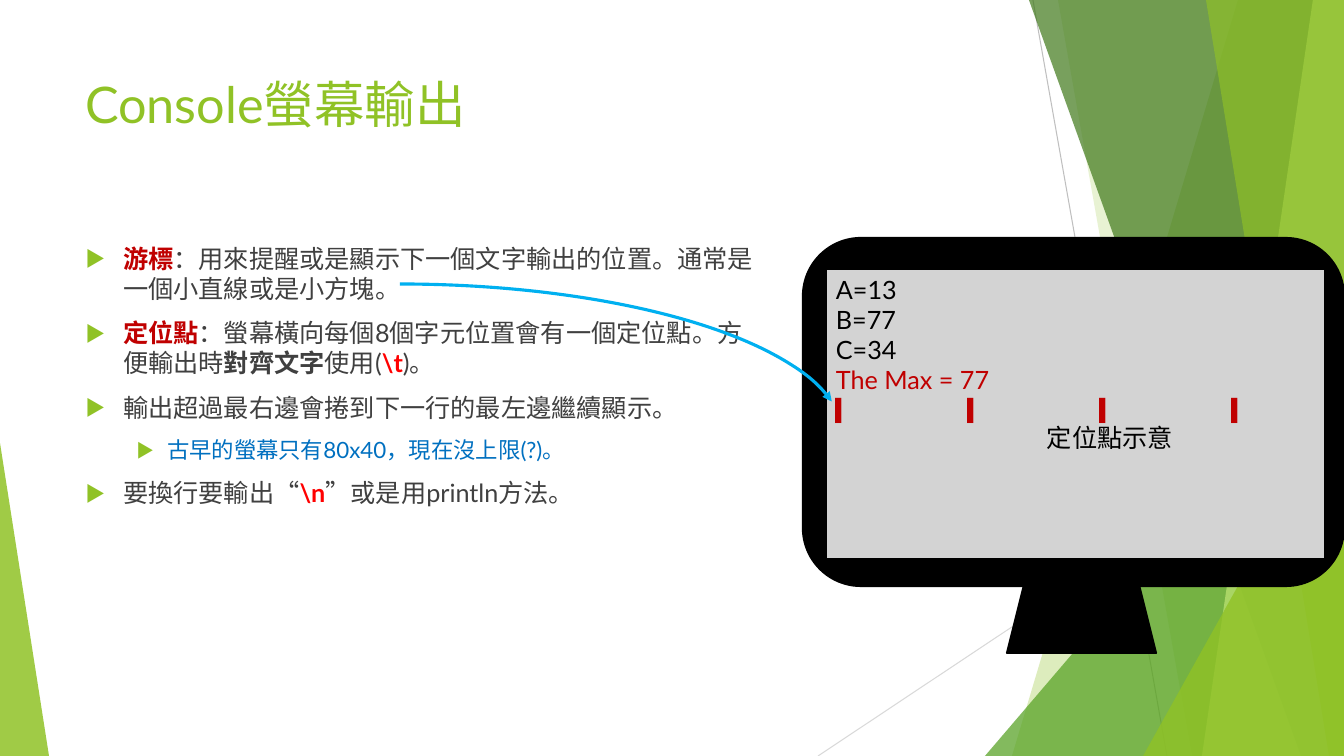
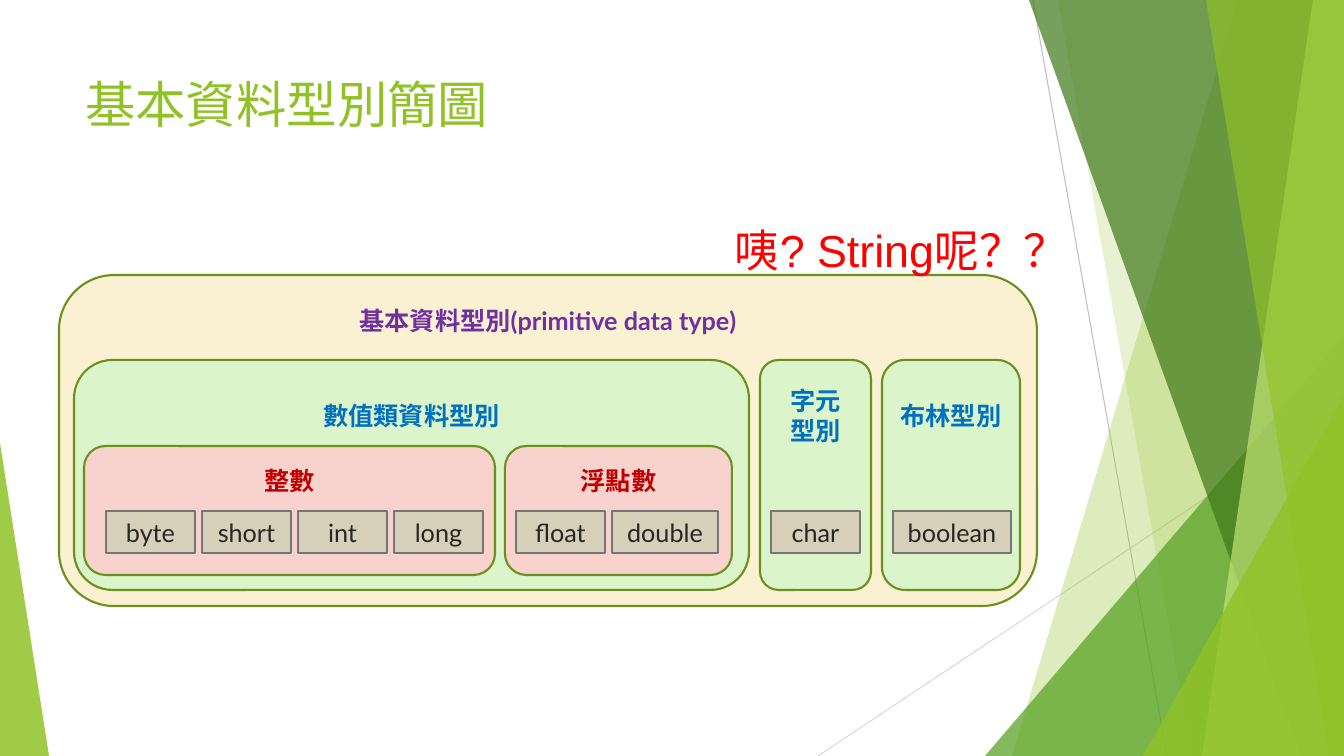
import lxml.etree
import pptx
import pptx.dml.color
import pptx.enum.shapes
import pptx.enum.text
import pptx.oxml.ns
import pptx.util

RGB = pptx.dml.color.RGBColor
SHAPE = pptx.enum.shapes.MSO_SHAPE
ALIGN = pptx.enum.text.PP_ALIGN
ANCHOR = pptx.enum.text.MSO_ANCHOR
qn = pptx.oxml.ns.qn

WIDTH, HEIGHT = 1344, 756
SCALE = 12192000 / WIDTH  # EMU per px
LATIN, CJK, SANS = "Lato", "Noto Sans CJK TC", "Arial"

GREEN = RGB(0x90, 0xC2, 0x26)
MID_GREEN = RGB(0x54, 0xA0, 0x21)
DARK_GREEN = RGB(0x3F, 0x78, 0x19)
LIME = RGB(0xC0, 0xE4, 0x74)
OLIVE = RGB(0x6B, 0x90, 0x1C)
CREAM = RGB(0xFA, 0xF1, 0xD2)
MINT = RGB(0xDB, 0xF4, 0xCA)
PINK = RGB(0xF8, 0xD2, 0xCC)
SAND = RGB(0xD6, 0xD0, 0xB8)
SCREEN = RGB(0xD3, 0xD3, 0xD3)
HAIRLINE = RGB(0xBF, 0xBF, 0xBF)
PALE_LINE = RGB(0xD9, 0xD9, 0xD9)
CHIP_LINE = RGB(0x76, 0x76, 0x76)
BLACK = RGB(0, 0, 0)
INK = RGB(0x26, 0x26, 0x26)
TEXT = RGB(0x40, 0x40, 0x40)
DARK_RED = RGB(0xC0, 0, 0)
RED = RGB(0xFF, 0, 0)
BLUE = RGB(0, 0x70, 0xC0)
SKY = RGB(0, 0xB0, 0xF0)
PURPLE = RGB(0x70, 0x30, 0xA0)


def px(n):
    return pptx.util.Emu(round(n * SCALE))


def box(*lengths):
    return [px(n) for n in lengths]


def sub(parent, tag, **attrs):
    return lxml.etree.SubElement(parent, qn(tag), attrs)


def style_run(r, color, size=18, bold=False, font=LATIN):
    r.font.name = font
    sub(r.font._element, "a:ea", typeface=CJK)
    r.font.size = pptx.util.Pt(size)
    r.font.bold = bold
    r.font.color.rgb = color


def style_frame(tf, color, align=ALIGN.LEFT, **font):
    for p in tf.paragraphs:
        p.alignment = align
        for r in p.runs:
            style_run(r, color, **font)


class Deck:
    """Holds the presentation, its style and the current slide."""

    def __init__(self):
        self.prs = pptx.Presentation()
        self.prs.slide_width, self.prs.slide_height = box(WIDTH, HEIGHT)
        self.s = None

    def slide(self, layout, title):
        layout = self.prs.slide_layouts.get_by_name(layout)
        self.s = self.prs.slides.add_slide(layout)
        tf = self.placeholder(self.s.shapes.title, 75, 68, 947, 145)
        tf.text = title
        style_frame(tf, GREEN, size=36)

    def placeholder(self, sp, *at):
        sp.left, sp.top, sp.width, sp.height = box(*at)
        tf = sp.text_frame
        tf.word_wrap = True
        tf.auto_size = pptx.enum.text.MSO_AUTO_SIZE.NONE
        tf.vertical_anchor = ANCHOR.TOP
        return tf

    def backdrop(self):
        """Draw the green bands and move them to the slide master."""
        group = self.s.shapes.add_group_shape()
        for color, ends in ((HAIRLINE, (1033, 0, 1167, HEIGHT)),
                            (PALE_LINE, (WIDTH, 406, 818, HEIGHT))):
            line = group.shapes.add_connector(
                pptx.enum.shapes.MSO_CONNECTOR.STRAIGHT, *box(*ends))
            line.line.color.rgb = color
            line.line.width = pptx.util.Pt(0.75)
            sub(line.element.spPr, "a:effectLst")
        self.band(group, 1238, 1012, GREEN, 30)
        self.band(group, 1058, 1192, GREEN, 20)
        self.wedge(group, (985, 336, 359, 420), 1, MID_GREEN, 72)
        self.band(group, 1029, 1301, DARK_GREEN, 70)
        self.band(group, 1313, 1202, LIME, 70)
        self.band(group, 1206, 1329, GREEN, 65)
        self.wedge(group, (1143, 396, 201, 360), 1, GREEN, 80)
        self.wedge(group, (0, 443, 49, 313), 0, GREEN, 85)
        # Keep shape ids unique on the master
        for i, props in enumerate(group.element.iter(qn("p:cNvPr")), 100):
            props.set("id", str(i))
        self.prs.slide_master.shapes.element.insert(2, group.element)

    def band(self, group, top_x, bottom_x, color, opacity):
        """A band from a slanted left edge to the right side of the slide."""
        builder = group.shapes.build_freeform(top_x, 0, scale=SCALE)
        builder.add_line_segments(
            [(WIDTH, 0), (WIDTH, HEIGHT), (bottom_x, HEIGHT)], close=True)
        self.tint(builder.convert_to_shape(), color, opacity)

    def wedge(self, group, at, apex, color, opacity):
        sp = group.shapes.add_shape(SHAPE.ISOSCELES_TRIANGLE, *box(*at))
        sp.adjustments[0] = apex
        self.tint(sp, color, opacity)

    def tint(self, sp, color, opacity):
        sp.shadow.inherit = False
        sp.line.fill.background()
        sp.fill.solid()
        sp.fill.fore_color.rgb = color
        clr = sp.element.spPr.find(".//" + qn("a:srgbClr"))
        sub(clr, "a:alpha", val=str(opacity * 1000))

    def bullets(self, items, *at):
        """Fill the body; items are (level, [(text, color, bold), ...])."""
        tf = self.placeholder(self.s.placeholders[1], *at)
        for i, (level, runs) in enumerate(items):
            p = tf.add_paragraph() if i else tf.paragraphs[0]
            p.level = level
            left, hang = ((38, 38), (82, 31))[level]
            pPr = p._p.get_or_add_pPr()
            pPr.set("marL", str(px(left)))
            pPr.set("indent", str(px(-hang)))
            sub(sub(pPr, "a:buClr"), "a:srgbClr", val=str(GREEN))
            sub(pPr, "a:buSzPct", val="80000")
            sub(pPr, "a:buFont", typeface=CJK)
            sub(pPr, "a:buChar", char="▶")
            p.space_before = pptx.util.Pt(10 if i else 0)
            for text, color, bold in runs:
                r = p.add_run()
                r.text = text
                style_run(r, color, size=(18, 16)[level], bold=bold)

    def shape(self, kind, at, fill, line, width=1.5):
        sp = self.s.shapes.add_shape(kind, *box(*at))
        sp.shadow.inherit = False
        if fill is None:
            sp.fill.background()
        else:
            sp.fill.solid()
            sp.fill.fore_color.rgb = fill
        sp.line.color.rgb = line
        sp.line.width = pptx.util.Pt(width)
        return sp

    def panel(self, at, fill, label, label_y, color):
        """A rounded panel whose bold label starts at label_y."""
        tf = self.shape(SHAPE.ROUNDED_RECTANGLE, at, fill, OLIVE).text_frame
        corner = 0.29 * min(at[2:]) / 6  # text inset of the round corner
        tf.vertical_anchor = ANCHOR.TOP
        tf.margin_top = px(label_y - at[1] - corner)
        tf.margin_left = tf.margin_right = px(3)
        tf.text = label
        style_frame(tf, color, ALIGN.CENTER, bold=True)

    def chips(self, x, *names):
        for name in names:
            width = {"double": 106, "boolean": 118}.get(name, 89)
            sp = self.shape(SHAPE.RECTANGLE, (x, 511, width, 42), SAND, CHIP_LINE)
            tf = sp.text_frame
            tf.vertical_anchor = ANCHOR.MIDDLE
            tf.margin_left = tf.margin_right = 0
            tf.text = name
            style_frame(tf, INK, ALIGN.CENTER)
            x += width + 7

    def console(self, at, text, tab):
        """A screen of text; the last line marks the tab stops."""
        tf = self.shape(SHAPE.RECTANGLE, at, SCREEN, BLACK).text_frame
        tf.vertical_anchor = ANCHOR.TOP
        tf.text = text
        *lines, result, ticks = tf.paragraphs
        tabs = sub(ticks._p.get_or_add_pPr(), "a:tabLst")
        for i in range(1, 4):
            sub(tabs, "a:tab", pos=str(px(i * tab)), algn="l")
        style_frame(tf, BLACK)
        for p in (result, ticks):
            p.runs[0].font.color.rgb = DARK_RED
        ticks.runs[0].font.name = CJK

    def arc_arrow(self, at, start, end, color):
        sp = self.shape(SHAPE.ARC, at, None, color, 2.25)
        sp.adjustments[0], sp.adjustments[1] = start, end
        sub(sp.element.spPr.find(qn("a:ln")), "a:tailEnd", type="triangle")

    def note(self, at, text, color, **font):
        tf = self.s.shapes.add_textbox(*box(*at)).text_frame
        tf.word_wrap = False
        tf.text = text
        style_frame(tf, color, **font)


def console_slide(deck):
    deck.slide("Title and Content", "Console螢幕輸出")
    deck.backdrop()
    deck.bullets([
        (0, [("游標", DARK_RED, True),
             ("：用來提醒或是顯示下一個文字輸出的位置。通常是一個小直線或是小方塊。", TEXT, False)]),
        (0, [("定位點", DARK_RED, True),
             ("：螢幕橫向每個8個字元位置會有一個定位點。方便輸出時", TEXT, False),
             ("對齊文字", TEXT, True), ("使用(", TEXT, False),
             ("\\t", RED, True), (")。", TEXT, False)]),
        (0, [("輸出超過最右邊會捲到下一行的最左邊繼續顯示。", TEXT, False)]),
        (1, [("古早的螢幕只有80x40，現在沒上限(?)。", BLUE, False)]),
        (0, [("要換行要輸出“", TEXT, False), ("\\n", RED, True),
             ("”或是用println方法。", TEXT, False)]),
    ], 75, 238, 689, 427)
    # Monitor
    deck.shape(SHAPE.ROUNDED_RECTANGLE, (803, 238, 541, 348), BLACK, BLACK)
    deck.console((826, 269, 499, 290),
                 "A=13\nB=77\nC=34\nThe Max = 77\n▎\t▎\t▎\t▎", 132)
    deck.shape(SHAPE.TRAPEZOID, (1007, 586, 149, 67), BLACK, BLACK)
    # Pointer to the cursor
    deck.arc_arrow((-44, 284, 888, 306), 162, 213.18, SKY)
    deck.note((1037, 417, 147, 40), "定位點示意", BLACK)


def types_slide(deck):
    deck.slide("Title Only", "基本資料型別簡圖")
    # Nested families of types
    deck.panel((59, 275, 978, 331), CREAM,
               "基本資料型別(primitive data type)", 305, PURPLE)
    deck.panel((74, 360, 675, 230), MINT, "數值類資料型別", 400, BLUE)
    deck.panel((84, 446, 411, 129), PINK, "整數", 465, DARK_RED)
    deck.panel((505, 446, 227, 129), PINK, "浮點數", 465, DARK_RED)
    deck.panel((760, 360, 111, 230), MINT, "字元\n型別", 385, BLUE)
    deck.panel((882, 360, 138, 230), MINT, "布林型別", 400, BLUE)
    # Types
    deck.chips(106, "byte", "short", "int", "long")
    deck.chips(516, "float", "double")
    deck.chips(771, "char")
    deck.chips(893, "boolean")
    deck.note((725, 218, 360, 64), "咦? String呢？？", RED, size=32, font=SANS)


def main():
    deck = Deck()
    console_slide(deck)
    types_slide(deck)
    deck.prs.save("out.pptx")


if __name__ == "__main__":
    main()
